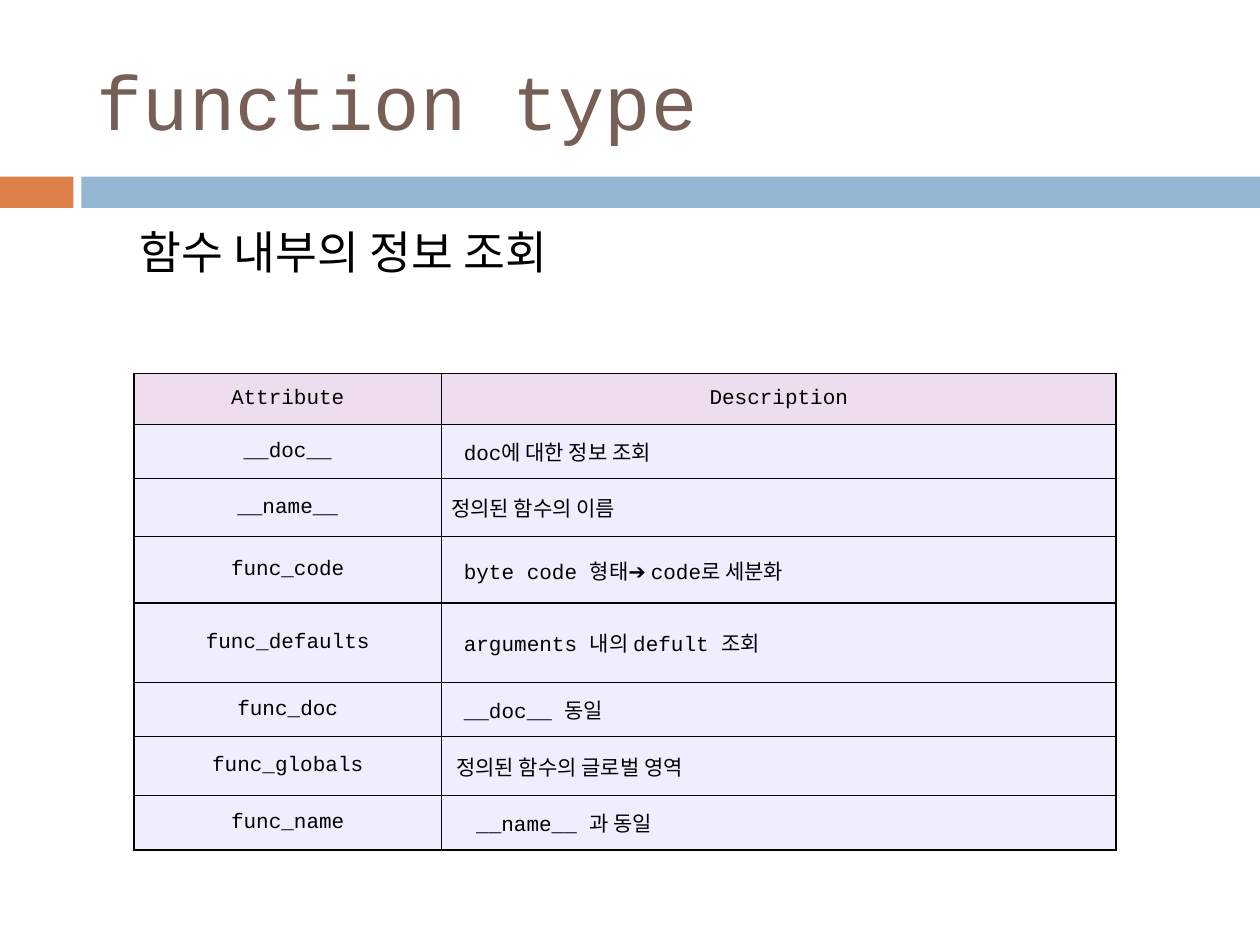
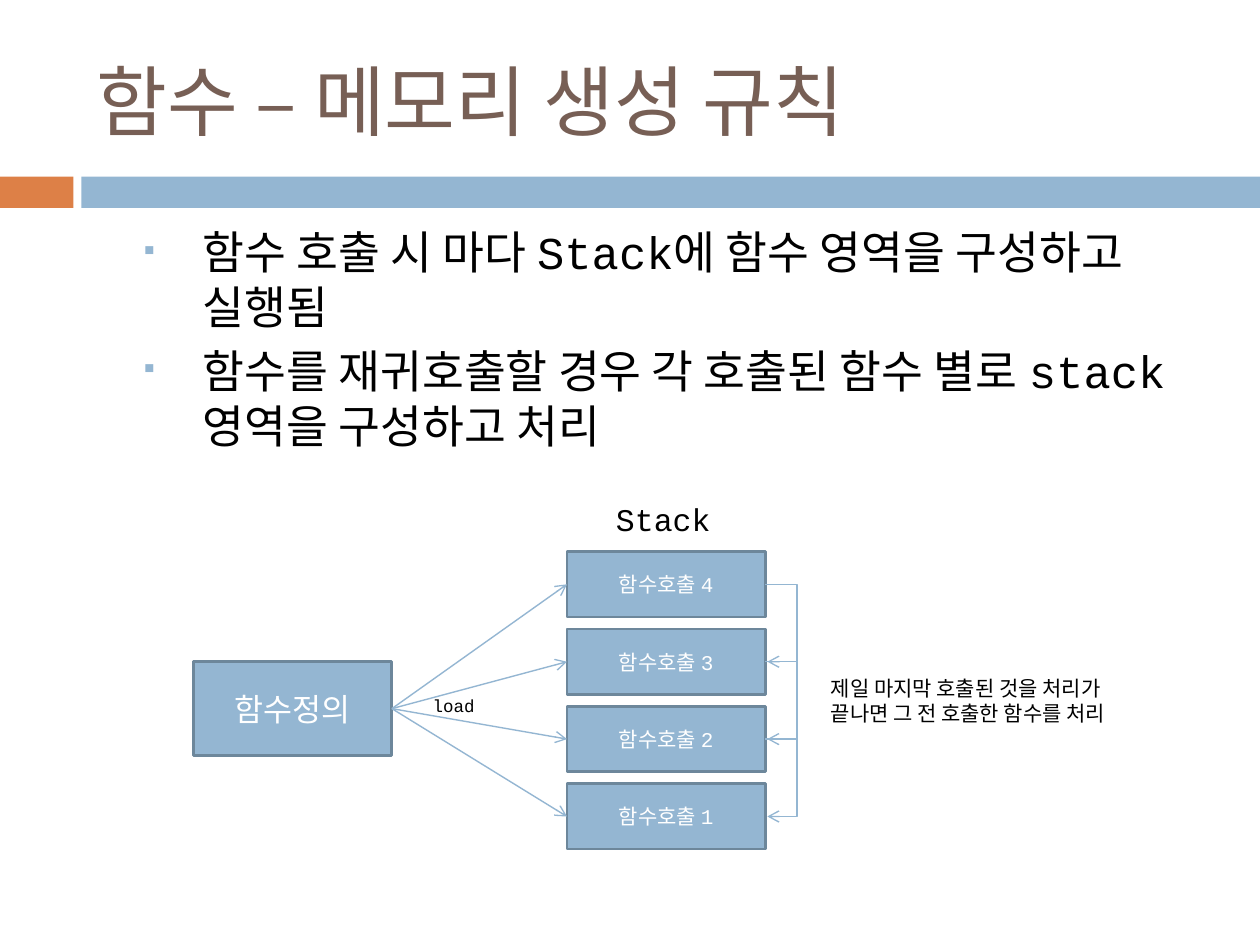
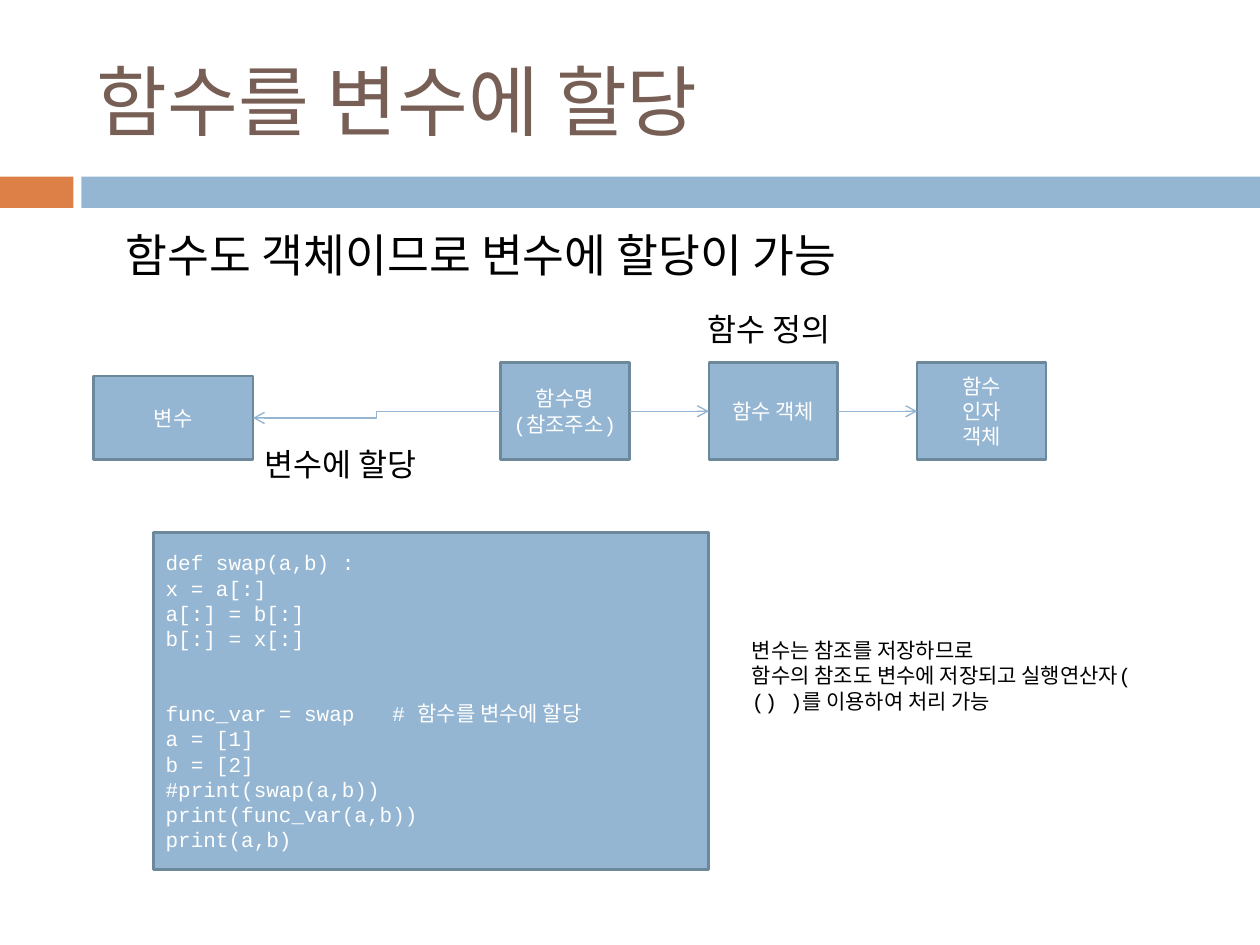
from dataclasses import dataclass
from typing import NamedTuple

import pptx
import pptx.dml.color
import pptx.enum.shapes
import pptx.enum.text
import pptx.oxml
import pptx.oxml.ns
import pptx.util
from pptx.util import Cm

RGBColor = pptx.dml.color.RGBColor
ORANGE = RGBColor(0xDD, 0x80, 0x47)
BLUE = RGBColor(0x94, 0xB6, 0xD2)
DARK_BLUE = RGBColor(0x6D, 0x87, 0x9B)
BROWN = RGBColor(0x77, 0x5F, 0x55)
BLACK = RGBColor(0x00, 0x00, 0x00)
WHITE = RGBColor(0xFF, 0xFF, 0xFF)
HEADER_PINK = RGBColor(0xEE, 0xDD, 0xEE)
CELL_LILAC = RGBColor(0xEE, 0xEE, 0xFF)

FONT = "Courier New"
LEFT = pptx.enum.text.PP_ALIGN.LEFT
CENTER = pptx.enum.text.PP_ALIGN.CENTER
TOP = pptx.enum.text.MSO_ANCHOR.TOP
MIDDLE = pptx.enum.text.MSO_ANCHOR.MIDDLE
STRAIGHT = pptx.enum.shapes.MSO_CONNECTOR.STRAIGHT
ELBOW = pptx.enum.shapes.MSO_CONNECTOR.ELBOW
LEFT_SIDE, RIGHT_SIDE = 1, 3


class Box(NamedTuple):
    left: float
    top: float
    width: float
    height: float

    def lengths(self) -> list:
        return [Cm(value) for value in self]


@dataclass(frozen=True)
class Style:
    size: float
    color: RGBColor = BLACK
    align: int = LEFT
    anchor: int = TOP


@dataclass(frozen=True)
class AttributeRow:
    name: str
    description: str
    height: float
    indent: float = 0.45


TITLE = Style(44, BROWN, anchor=MIDDLE)
BODY = Style(26)
LABEL = Style(18, align=CENTER)
NOTE = Style(12)
NODE = Style(12, WHITE, CENTER, MIDDLE)
CODE = Style(12, WHITE, LEFT, MIDDLE)

ATTRIBUTE_ROWS = [
    AttributeRow("__doc__", "doc에 대한 정보 조회", 1.09),
    AttributeRow("__name__", "정의된 함수의 이름", 1.17, 0.2),
    AttributeRow("func_code", "byte code 형태➔ code로 세분화", 1.34),
    AttributeRow("func_defaults", "arguments 내의 defult 조회", 1.6),
    AttributeRow("func_doc", "__doc__ 동일", 1.09),
    AttributeRow("func_globals", "정의된 함수의 글로벌 영역", 1.19, 0.3),
    AttributeRow("func_name", "__name__ 과 동일", 1.09, 0.7),
]

SWAP_LINES = ["def swap(a,b) :", "x = a[:]", "a[:] = b[:]", "b[:] = x[:]"]
CALL_LINES = [
    "func_var = swap   # 함수를 변수에 할당",
    "a = [1]",
    "b = [2]",
    "#print(swap(a,b))",
    "print(func_var(a,b))",
    "print(a,b)",
]


def append_xml(parent, xml: str) -> None:
    namespace = pptx.oxml.ns.nsdecls("a")
    parent.extend(list(pptx.oxml.parse_xml(f"<a:list {namespace}>{xml}</a:list>")))


def style_paragraph(paragraph, style: Style) -> None:
    paragraph.alignment = style.align
    font = paragraph.font
    font.name = FONT
    font.size = pptx.util.Pt(style.size)
    font.color.rgb = style.color


def fill_text(frame, lines: list[str], style: Style, bullets: bool = False) -> None:
    frame.word_wrap = True
    frame.vertical_anchor = style.anchor
    for index, line in enumerate(lines):
        paragraph = frame.add_paragraph() if index else frame.paragraphs[0]
        paragraph.text = line
        if bullets:
            add_bullet(paragraph)
        style_paragraph(paragraph, style)


def add_text(slide, box: Box, lines: list[str], style: Style, bullets: bool = False):
    frame = slide.shapes.add_textbox(*box.lengths()).text_frame
    fill_text(frame, lines, style, bullets)
    return frame


def add_bullet(paragraph) -> None:
    append_xml(
        paragraph._p.get_or_add_pPr(),
        f'<a:buClr><a:srgbClr val="{BLUE}"/></a:buClr><a:buSzPct val="70000"/>'
        f'<a:buFont typeface="{FONT}"/><a:buChar char="▪"/>',
    )


def indent_body(frame, margin: float, hanging: float = 0) -> None:
    for index, paragraph in enumerate(frame.paragraphs):
        properties = paragraph._p.get_or_add_pPr()
        properties.set("marL", str(Cm(margin)))
        properties.set("indent", str(-Cm(hanging)))
        if index:
            paragraph.space_before = pptx.util.Pt(5.5)


def add_rectangle(slide, box: Box, color: RGBColor):
    shape = slide.shapes.add_shape(pptx.enum.shapes.MSO_SHAPE.RECTANGLE, *box.lengths())
    shape.shadow.inherit = False
    shape.fill.solid()
    shape.fill.fore_color.rgb = color
    shape.line.fill.background()
    return shape


def add_node(slide, box: Box, lines: list[str], style: Style = NODE):
    shape = add_rectangle(slide, box, BLUE)
    shape.line.color.rgb = DARK_BLUE
    shape.line.width = pptx.util.Pt(1.5)
    fill_text(shape.text_frame, lines, style)
    return shape


def add_arrow(slide, kind: int, start: tuple, end: tuple):
    connector = slide.shapes.add_connector(kind, *start, *end)
    connector.line.color.rgb = BLUE
    connector.line.width = pptx.util.Pt(0.79)
    properties = connector._element.spPr
    append_xml(properties.get_or_add_ln(), '<a:tailEnd type="arrow"/>')
    append_xml(properties, "<a:effectLst/>")
    return connector


def join_nodes(slide, source, target) -> None:
    connector = add_arrow(slide, STRAIGHT, (0, 0), (0, 0))
    connector.begin_connect(source, RIGHT_SIDE)
    connector.end_connect(target, LEFT_SIDE)


def add_return_arrow(slide, source, target) -> None:
    gap, reach = Cm(0.04), Cm(0.64)
    right = source.left + source.width
    connector = add_arrow(
        slide, ELBOW,
        (right, source.top + source.height // 2),
        (right + gap, target.top + target.height // 2),
    )
    guides = connector._element.spPr.prstGeom.get_or_add_avLst()
    append_xml(guides, f'<a:gd name="adj1" fmla="val {round(reach / gap * 100000)}"/>')


def add_titled_slide(presentation, title: str):
    slide = presentation.slides.add_slide(presentation.slide_layouts[6])
    add_rectangle(slide, Box(0, 3.56, 1.48, 0.63), ORANGE)
    add_rectangle(slide, Box(1.64, 3.56, 23.76, 0.63), BLUE)
    add_text(slide, Box(1.7, 0.64, 22.66, 2.74), [title], TITLE)
    return slide


def fill_cell(cell, text: str, color: RGBColor, align: int, indent: float = 0.03) -> None:
    cell.margin_left = Cm(indent)
    cell.margin_right = cell.margin_top = cell.margin_bottom = Cm(0.03)
    cell.vertical_anchor = MIDDLE
    cell.text = text
    style_paragraph(cell.text_frame.paragraphs[0], Style(12, align=align))
    properties = cell._tc.get_or_add_tcPr()
    for side in ("lnL", "lnR", "lnT", "lnB"):
        append_xml(
            properties,
            f'<a:{side} w="{pptx.util.Pt(1)}"><a:solidFill>'
            f'<a:srgbClr val="{BLACK}"/></a:solidFill></a:{side}>',
        )
    cell.fill.solid()
    cell.fill.fore_color.rgb = color


def add_attribute_table(slide) -> None:
    rows = [AttributeRow("Attribute", "Description", 1.03, 0.03), *ATTRIBUTE_ROWS]
    widths = (6.2, 13.6)
    box = Box(2.7, 7.53, sum(widths), sum(row.height for row in rows))
    table = slide.shapes.add_table(len(rows), len(widths), *box.lengths()).table
    table.first_row = table.horz_banding = False
    for column, width in zip(table.columns, widths):
        column.width = Cm(width)
    for index, row in enumerate(rows):
        table.rows[index].height = Cm(row.height)
        color = CELL_LILAC if index else HEADER_PINK
        fill_cell(table.cell(index, 0), row.name, color, CENTER)
        fill_cell(table.cell(index, 1), row.description, color,
                  LEFT if index else CENTER, row.indent)


def build_function_type(presentation) -> None:
    slide = add_titled_slide(presentation, "function type")
    frame = add_text(slide, Box(1.3, 4.4, 22.86, 3.15), ["함수 내부의 정보 조회"], BODY)
    indent_body(frame, 1.27)
    add_attribute_table(slide)


def build_memory_rules(presentation) -> None:
    slide = add_titled_slide(presentation, "함수 – 메모리 생성 규칙")
    rules = add_text(slide, Box(1.3, 4.4, 22.86, 6.15), [
        "함수 호출 시 마다 Stack에 함수 영역을 구성하고 실행됨",
        "함수를 재귀호출할 경우 각 호출된 함수 별로 stack영역을 구성하고 처리",
    ], BODY, bullets=True)
    indent_body(rules, 2.54, 1.27)
    definition = add_node(slide, Box(3.9, 13.34, 4, 1.89), ["함수정의"],
                          Style(18, WHITE, CENTER, MIDDLE))
    calls = [
        add_node(slide, Box(11.43, 11.12 + 1.56 * index, 4, 1.32), [f"함수호출 {4 - index}"])
        for index in range(4)
    ]
    for call in calls:
        join_nodes(slide, definition, call)
    for source, target in zip(calls, calls[1:]):
        add_return_arrow(slide, source, target)
    add_text(slide, Box(11.37, 9.96, 4, 1.02), ["Stack"], LABEL)
    add_text(slide, Box(16.5, 13.49, 7.19, 1.27),
             ["제일 마지막 호출된 것을 처리가 끝나면 그 전 호출한 함수를 처리"], NOTE)
    add_text(slide, Box(7.95, 13.89, 2.39, 0.69), ["load"], Style(10, align=CENTER))


def build_variable_assignment(presentation) -> None:
    slide = add_titled_slide(presentation, "함수를 변수에 할당")
    frame = add_text(slide, Box(1.27, 4.45, 22.86, 2.08),
                     ["함수도 객체이므로 변수에 할당이 가능"], BODY)
    indent_body(frame, 1.02)
    node_lines = [["함수명", "(참조주소)"], ["함수 객체"], ["함수", "인자", "객체"]]
    nodes = [
        add_node(slide, Box(10.09 + 4.2 * index, 7.31, 2.6, 1.96), lines)
        for index, lines in enumerate(node_lines)
    ]
    for source, target in zip(nodes, nodes[1:]):
        join_nodes(slide, source, target)
    variable = add_node(slide, Box(1.88, 7.58, 3.22, 1.69), ["변수"])
    add_arrow(slide, ELBOW,
              (nodes[0].left, nodes[0].top + nodes[0].height // 2),
              (variable.left + variable.width, variable.top + variable.height // 2))
    add_text(slide, Box(11, 6.12, 8.99, 1.02), ["함수 정의"], LABEL)
    add_text(slide, Box(5.08, 8.84, 5, 1.02), ["변수에 할당"], Style(18))
    code = add_node(slide, Box(3.09, 10.73, 11.2, 6.8), SWAP_LINES + CALL_LINES, CODE)
    code.text_frame.paragraphs[len(SWAP_LINES)].space_before = pptx.util.Pt(28.5)
    add_text(slide, Box(14.91, 12.73, 8.2, 1.8), [
        "변수는 참조를 저장하므로",
        "함수의 참조도 변수에 저장되고 실행연산자( () )를 이용하여 처리 가능",
    ], NOTE)


def main() -> None:
    presentation = pptx.Presentation()
    presentation.slide_width = Cm(25.4)
    presentation.slide_height = Cm(19.05)
    build_function_type(presentation)
    build_memory_rules(presentation)
    build_variable_assignment(presentation)
    presentation.save("out.pptx")


if __name__ == "__main__":
    main()
